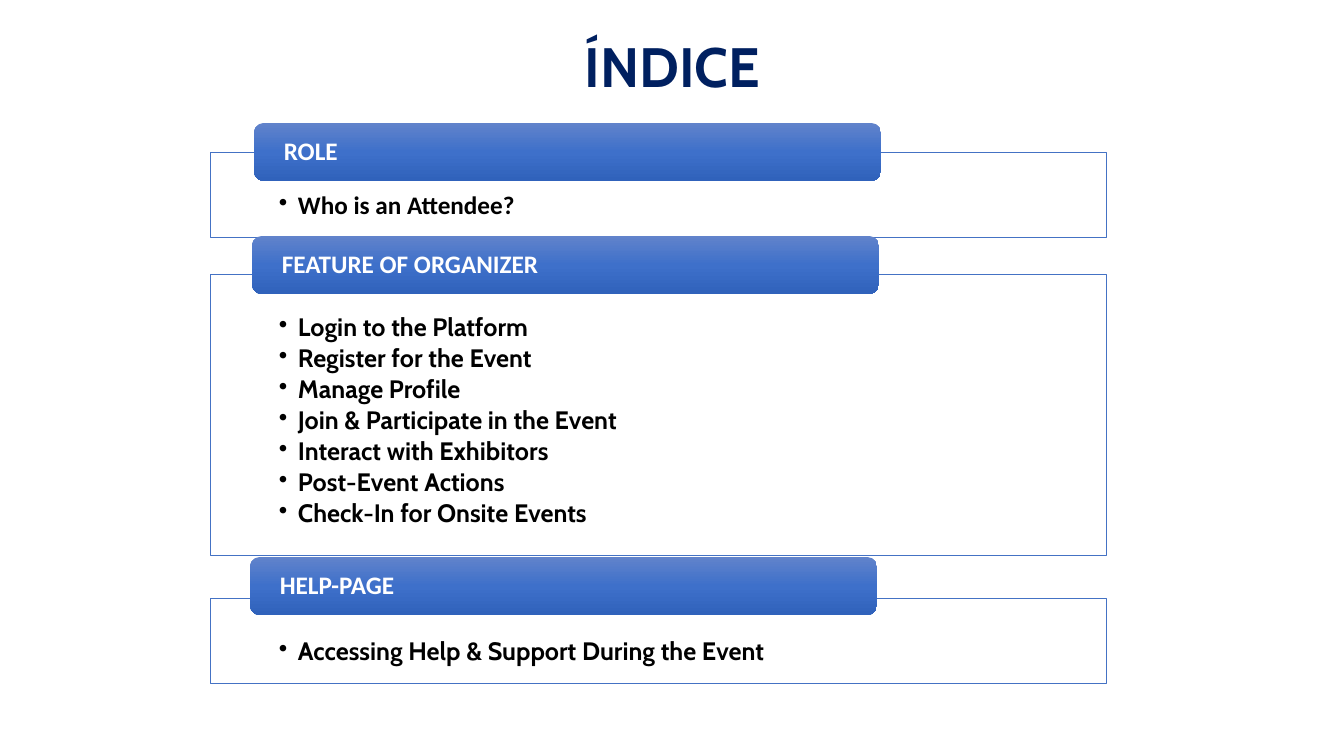
"""Build an index slide with three titled sections."""
from copy import deepcopy

from pptx import Presentation
from pptx import util as u
from pptx.dml.color import RGBColor
from pptx.enum import shapes, text
from pptx.oxml.ns import qn
from lxml import etree

TITLE = "ÍNDICE"
SECTIONS = [
    {"heading": "ROLE", "font": "Calibri", "bar": (254, 123), "frame": (152, 85),
     "topics": ["Who is an Attendee?"]},
    {"heading": "FEATURE OF ORGANIZER", "font": "Cabin", "bar": (252, 236), "frame": (274, 281),
     "topics": ["Login to the Platform", "Register for the Event", "Manage Profile",
                "Join & Participate in the Event", "Interact with Exhibitors",
                "Post-Event Actions", "Check-In for Onsite Events"]},
    {"heading": "HELP-PAGE", "font": "Cabin", "bar": (250, 557), "frame": (598, 85),
     "topics": ["Accessing Help & Support During the Event"]},
]

NAVY = RGBColor(0x00, 0x20, 0x60)
BLUE = RGBColor(0x44, 0x72, 0xC4)
WHITE = RGBColor(0xFF, 0xFF, 0xFF)
BLACK = RGBColor(0x00, 0x00, 0x00)
BAR_BLUES = [RGBColor(0x61, 0x83, 0xCB), RGBColor(0x3E, 0x70, 0xCA), RGBColor(0x30, 0x62, 0xBB)]

FRAME_LEFT, FRAME_WIDTH = 210, 896
BAR_WIDTH, BAR_HEIGHT = 627, 58
FRAME_INSETS = (69, 41, 69, 14)
BAR_INSETS = (27, 0, 27, 0)
BULLET_INDENT = 19


def px(length):
    return u.Emu(round(length * 914400 / 100.8))


def write(frame, lines, insets, anchor, align, font, size, color):
    frame.text = "\n".join(lines)
    frame.word_wrap = True
    frame.auto_size = text.MSO_AUTO_SIZE.NONE
    frame.vertical_anchor = anchor
    (frame.margin_left, frame.margin_top,
     frame.margin_right, frame.margin_bottom) = map(px, insets)
    for line in frame.paragraphs:
        line.alignment = align
        line.line_spacing = 0.9
        for run in line.runs:
            run.font.name = font
            run.font.size = u.Pt(size)
            run.font.bold = True
            run.font.color.rgb = color


def add_bullet(line):
    line.level = 1
    line.space_after = u.Pt(2.7)
    props = line._p.get_or_add_pPr()
    props.set("marL", str(px(BULLET_INDENT)))
    props.set("indent", str(-px(BULLET_INDENT)))
    etree.SubElement(props, qn("a:buChar")).set("char", "•")


def add_topics(slide, section):
    top, height = section["frame"]
    box = slide.shapes.add_shape(shapes.MSO_SHAPE.RECTANGLE,
                                 *map(px, (FRAME_LEFT, top, FRAME_WIDTH, height)))
    box.shadow.inherit = False
    box.fill.solid()
    box.fill.fore_color.rgb = WHITE
    white = box._element.spPr.find(qn("a:solidFill"))[0]
    etree.SubElement(white, qn("a:alpha")).set("val", "90000")
    box.line.color.rgb = BLUE
    box.line.width = u.Pt(0.5)
    write(box.text_frame, section["topics"], FRAME_INSETS, text.MSO_ANCHOR.TOP,
          text.PP_ALIGN.LEFT, section["font"], 18, BLACK)
    for line in box.text_frame.paragraphs:
        add_bullet(line)


def add_heading(slide, section):
    bar = slide.shapes.add_shape(shapes.MSO_SHAPE.ROUNDED_RECTANGLE,
                                 *map(px, (*section["bar"], BAR_WIDTH, BAR_HEIGHT)))
    bar.shadow.inherit = False
    bar.line.fill.background()
    bar.fill.gradient()
    bar.fill.gradient_angle = 270
    stop_list = bar._element.spPr.find(qn("a:gradFill")).find(qn("a:gsLst"))
    stop_list.append(deepcopy(stop_list[-1]))
    for index, (stop, blue) in enumerate(zip(bar.fill.gradient_stops, BAR_BLUES)):
        stop.position = index / 2
        stop.color.rgb = blue
    write(bar.text_frame, [section["heading"]], BAR_INSETS, text.MSO_ANCHOR.MIDDLE,
          text.PP_ALIGN.LEFT, "Calibri", 18, WHITE)


def main():
    deck = Presentation()
    deck.slide_width, deck.slide_height = px(1344), px(756)
    slide = deck.slides.add_slide(deck.slide_layouts[5])
    title = slide.shapes.title
    title.left, title.top, title.width, title.height = map(px, (93, 45, 1159, 49))
    write(title.text_frame, [TITLE], (10, 5, 10, 5), text.MSO_ANCHOR.MIDDLE,
          text.PP_ALIGN.CENTER, "Cabin", 39.6, NAVY)
    for section in SECTIONS:
        add_topics(slide, section)
        add_heading(slide, section)
    deck.save("out.pptx")


if __name__ == "__main__":
    main()
